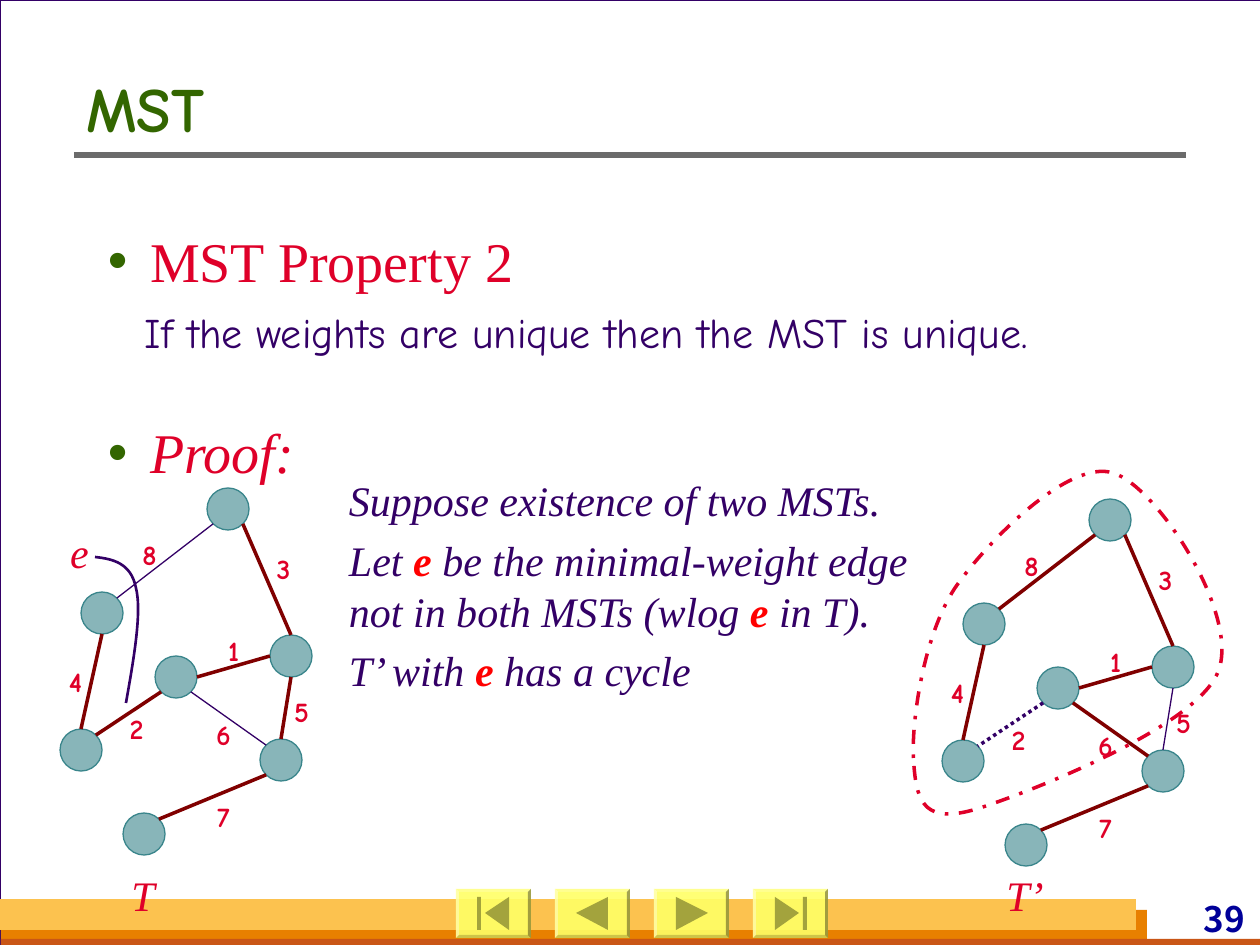
from math import cos, radians, sin
from lxml import etree
from pptx import Presentation
from pptx.dml.color import RGBColor
from pptx.enum.dml import MSO_LINE
from pptx.enum.shapes import MSO_CONNECTOR, MSO_SHAPE
from pptx.enum.text import MSO_ANCHOR, MSO_AUTO_SIZE, PP_ALIGN
from pptx.oxml.ns import qn
from pptx.util import Pt

RECT, OVAL, BEVEL = MSO_SHAPE.RECTANGLE, MSO_SHAPE.OVAL, MSO_SHAPE.BEVEL
LEFT, MID, RIGHT = PP_ALIGN.LEFT, PP_ALIGN.CENTER, PP_ALIGN.RIGHT
TOP, CORE = MSO_ANCHOR.TOP, MSO_ANCHOR.MIDDLE
DOTS, DASH = MSO_LINE.ROUND_DOT, MSO_LINE.DASH_DOT
SCALE = 914400 / 126  # EMU per px
TIMES, COMIC, SANS = "Times New Roman", "Comic Neue", "Noto Sans CJK SC"
HUE = {"back": "D8DADA", "white": "FFFFFF", "ink": "330066", "red": "DF0029",
       "hot": "FF0000", "green": "336600", "rule": "6B6B6B", "node": "39858B",
       "tree": "800000", "page": "000099", "button": "FFFF66", "icon": "A3A33D",
       "amber": "E88000", "rust": "C95616", "gold": "FCC24F"}

# Content
TITLE = ("MST", (73, 63, 1124, 88))
BULLETS = [("MST Property 2", (95, 220, 766, 81), False),
           ("Proof:", (95, 412, 766, 81), True)]
CLAIM = ("If the weights are unique then the MST is unique.", (132, 301, 1081, 113))
# text between bars is emphasised
STEPS = [("Suppose existence of two MSTs.", (336, 469, 567, 63)),
         ("Let |e| be the minimal-weight edge not in both MSTs (wlog |e| in T).",
          (336, 529, 609, 113)),
         ("T’ with |e| has a cycle", (336, 639, 609, 63))]
NAMES = [("T", (101, 863, 84, 63)), ("T’", (983, 863, 84, 63)),
         ("e", (53, 525, 53, 53))]
BARS = [((1, 910, 1146, 35), "amber"), ((1, 939, 1260, 10), "rust"),
        ((0, 899, 1136, 31), "gold")]

# Graph: node centres, then weight -> (node, site), (node, site), label corner
# Sites run anticlockwise from the top in steps of 45 degrees
RADIUS = 21
NODES = {"A": (176, 677), "B": (228, 509), "C": (281, 760), "D": (291, 656),
         "E": (144, 834), "F": (102, 613), "G": (81, 750)}
EDGES = {8: (("F", 7), ("B", 3), (134, 528)), 1: (("A", 6), ("D", 2), (218, 624)),
         3: (("D", 0), ("B", 5), (268, 542)), 2: (("A", 3), ("G", 7), (121, 702)),
         6: (("A", 5), ("C", 1), (208, 708)), 5: (("C", 0), ("D", 4), (286, 685)),
         7: (("C", 3), ("E", 7), (208, 790)), 4: (("G", 0), ("F", 4), (60, 655))}
TREES = [{"shift": (0, 0), "thin": (8, 6), "dots": ()},
         {"shift": (882, 11), "thin": (5,), "dots": (2,)}]

# Curves: start point, then three points per Bezier piece
CYCLE = [(914, 766), (917, 804), (926, 824), (977, 809), (1027, 793), (1196, 728),
         (1218, 672), (1241, 616), (1157, 486), (1113, 473), (1070, 459), (989, 539),
         (955, 588), (922, 638), (910, 730), (914, 766)]
TAIL = [(95, 557), (113, 559), (131, 563), (136, 588), (142, 612), (134, 658),
        (126, 703)]

# Buttons: (icon outlines, mirrored)
ARROW = [[(21, 24), (53, 8), (53, 41)]]
STOP = [[(29, 24), (53, 8), (53, 41)], [(21, 8), (25, 8), (25, 41), (21, 41)]]
BUTTONS = [(STOP, False), (ARROW, False), (ARROW, True), (STOP, True)]
WIDE, HIGH = 75, 49


def px(*vals):
    return [round(v * SCALE) for v in vals]


def rgb(name):
    return RGBColor.from_string(HUE[name])


def paint(shape, fill=None, line=None, width=0.75, alpha=None, dash=None):
    shape.shadow.inherit = False
    if fill:
        shape.fill.solid()
        shape.fill.fore_color.rgb = rgb(fill)
        if alpha:
            tone = shape.element.spPr.find(qn("a:solidFill"))[0]
            etree.SubElement(tone, qn("a:alpha"), val=str(alpha * 1000))
    else:
        shape.fill.background()
    if line:
        shape.line.color.rgb = rgb(line)
        shape.line.width = Pt(width)
        if dash:
            shape.line.dash_style = dash
    else:
        shape.line.fill.background()


def block(shapes, kind, area, **look):
    shape = shapes.add_shape(kind, *px(*area))
    paint(shape, **look)
    return shape


def wire(shapes, start, end, hue, width, dash=None):
    link = shapes.add_connector(MSO_CONNECTOR.STRAIGHT, *px(*start, *end))
    link.line.color.rgb = rgb(hue)
    link.line.width = Pt(width)
    if dash:
        link.line.dash_style = dash
    etree.SubElement(link.element.spPr, qn("a:effectLst"))


def write(box, text, size, font, hue, bold=False, slant=False, align=LEFT,
          anchor=TOP, wrap=True, pad=(13, 6)):
    frame = box.text_frame
    frame.auto_size, frame.word_wrap = MSO_AUTO_SIZE.NONE, wrap
    frame.vertical_anchor = anchor
    frame.margin_left = frame.margin_right = px(pad[0])[0]
    frame.margin_top = frame.margin_bottom = px(pad[1])[0]
    para = frame.paragraphs[0]
    para.alignment, para.space_before = align, Pt(0)
    for i, part in enumerate(text.split("|")):
        run = para.add_run()
        run.text = part
        run.font.size, run.font.name = Pt(size), font
        run.font.bold, run.font.italic = bold or i % 2 == 1, slant
        run.font.color.rgb = rgb("hot" if i % 2 else hue)
    return para


def label(shapes, text, area, *look, **more):
    return write(shapes.add_textbox(*px(*area)), text, *look, **more)


def place(holder, area):
    holder.left, holder.top, holder.width, holder.height = px(*area)
    holder.element.getparent().append(holder.element)  # above the page frame
    return holder


def curve(shapes, points, closed=False, **look):
    pen = shapes.build_freeform(*points[0], scale=SCALE)
    pen.add_line_segments(points[1:], close=closed)
    shape = pen.convert_to_shape()
    legs = list(shape.element.iter(qn("a:lnTo")))
    for i in range(0, len(legs), 3):
        bend = etree.Element(qn("a:cubicBezTo"))
        legs[i].addprevious(bend)
        for leg in legs[i:i + 3]:
            bend.append(leg[0])
            leg.getparent().remove(leg)
    paint(shape, **look)


def button(shapes, left, top, icon, flip):
    face = block(shapes, BEVEL, (left, top, WIDE, HIGH), fill="button", alpha=90)
    face.adjustments[0] = 0.06
    sides = [[(left + (WIDE - x if flip else x), top + y) for x, y in side]
             for side in icon]
    pen = shapes.build_freeform(*sides[0][0], scale=SCALE)
    for side in sides:
        pen.move_to(*side[0])
        pen.add_line_segments(side[1:], close=True)
    paint(pen.convert_to_shape(), fill="icon")


def graph(shapes, shift, thin, dots):
    group = shapes.add_group_shape().shapes
    dx, dy = shift

    def site(node, turn):
        x, y = NODES[node]
        angle = radians(90 + 45 * turn)
        return x + dx + RADIUS * cos(angle), y + dy - RADIUS * sin(angle)

    for x, y in NODES.values():
        block(group, OVAL, (x + dx - RADIUS, y + dy - RADIUS, 2 * RADIUS, 2 * RADIUS),
              fill="node", alpha=60, line="node")
    for weight, (start, end, _) in EDGES.items():
        wire(group, site(*start), site(*end),
             "ink" if weight in thin + dots else "tree",
             0.75 if weight in thin else 2, DOTS if weight in dots else None)
    for weight, (_, _, (x, y)) in EDGES.items():
        label(group, str(weight), (x + dx, y + dy, 31, 53), 16, COMIC, "red",
              bold=True, align=MID, anchor=CORE, wrap=False)


def main():
    deck = Presentation()
    deck.slide_width, deck.slide_height = px(1260, 945)
    slide = deck.slides.add_slide(deck.slide_layouts[3])
    shapes = slide.shapes
    slide.background.fill.solid()
    slide.background.fill.fore_color.rgb = rgb("back")

    # Page frame, footer bars, number and buttons
    block(shapes, RECT, (0, 0, 1261, 945), fill="white", line="ink")
    for area, hue in BARS:
        block(shapes, RECT, area, fill=hue)
    label(shapes, "39", (1116, 897, 134, 42), 20, SANS, "page", bold=True,
          align=RIGHT, pad=(5, 0))
    wire(shapes, (74, 155), (1186, 155), "rule", 3)
    for i, (icon, flip) in enumerate(BUTTONS):
        button(shapes, 456 + 99 * i, 889, icon, flip)

    # Title, bullets and claim
    head, *bodies = list(slide.placeholders)
    write(place(head, TITLE[1]), TITLE[0], 36, COMIC, "green", bold=True)
    for body, (text, area, slant) in zip(bodies, BULLETS):
        para = write(place(body, area), text, 32, TIMES, "red", slant=slant)
        props = para._p.get_or_add_pPr()
        indent = px(42)[0]
        props.set("marL", str(indent))
        props.set("indent", str(-indent))
        tint = etree.SubElement(props, qn("a:buClr"))
        etree.SubElement(tint, qn("a:srgbClr"), val=HUE["green"])
        etree.SubElement(props, qn("a:buChar"), char="•")
    label(shapes, *CLAIM, 24, COMIC, "ink")

    # Both trees, proof steps and names
    for tree in TREES:
        graph(shapes, **tree)
    for text, area in STEPS:
        label(shapes, text, area, 24, TIMES, "ink", slant=True)
    for text, area in NAMES:
        label(shapes, text, area, 24, TIMES, "red", slant=True, align=MID,
              anchor=CORE, wrap=False)

    # Cycle outline and pointer from e
    curve(shapes, CYCLE, closed=True, line="red", width=2, dash=DASH)
    curve(shapes, TAIL, line="ink", width=1.5)
    deck.save("out.pptx")


if __name__ == "__main__":
    main()
